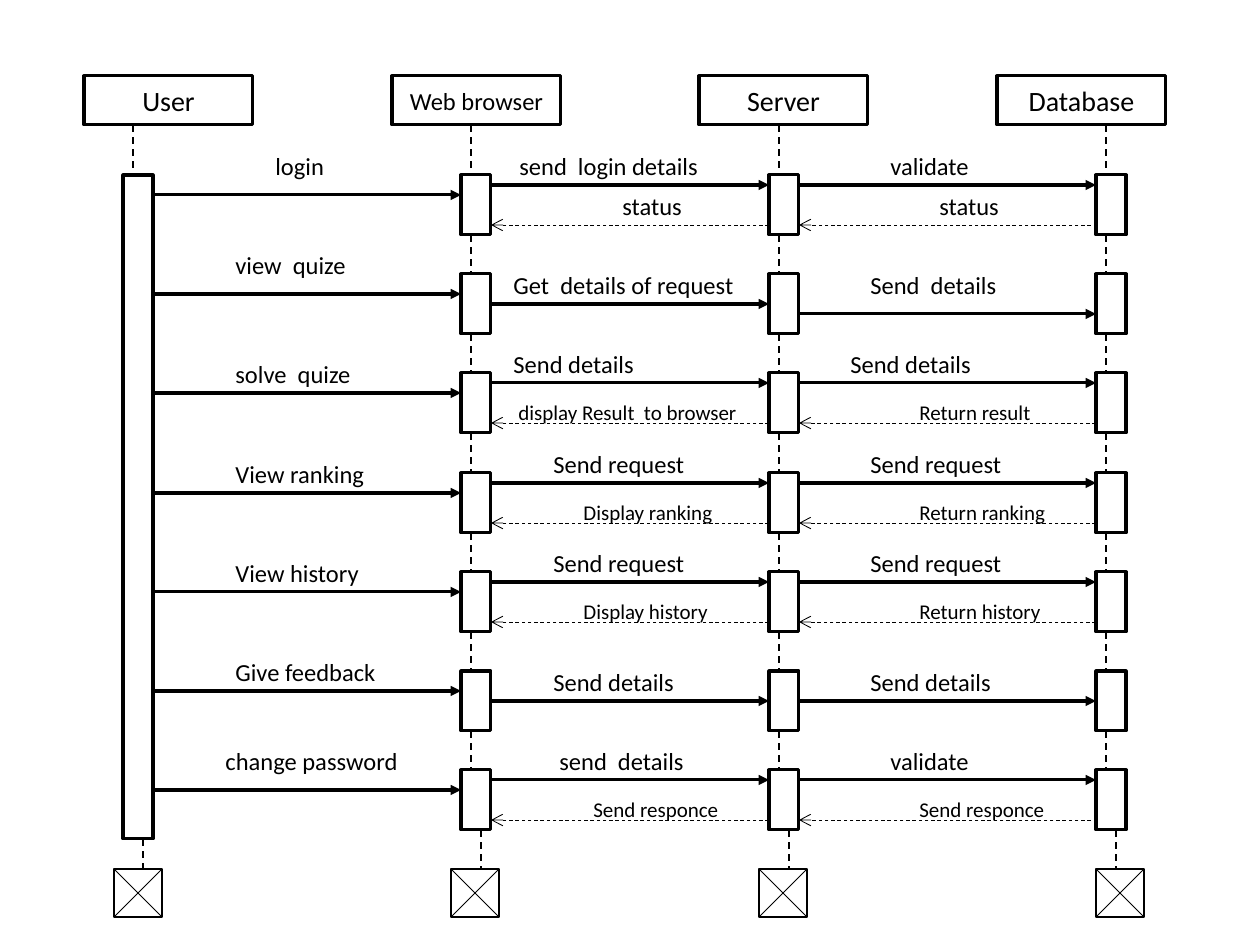
from lxml.etree import SubElement
from pptx import Presentation
from pptx.dml.color import RGBColor
from pptx.enum.dml import MSO_LINE as Dash
from pptx.enum.shapes import MSO_CONNECTOR as Connector, MSO_SHAPE as Shape
from pptx.enum.text import MSO_ANCHOR as Anchor, MSO_AUTO_SIZE as AutoSize, PP_ALIGN as Align
from pptx.oxml.ns import qn
from pptx.util import Pt

BLACK = RGBColor(0, 0, 0)
WHITE = RGBColor(255, 255, 255)
FONT = "Calibri"
PX = 914400 / 126

# name, font size, head left, activation left, end marker left
PARTICIPANTS = [
    ("User", 16, 84, 123, 114),
    ("Web browser", 14, 392, 461, 451),
    ("Server", 16, 699, 769, 759),
    ("Database", 16, 997, 1096, 1096),
]
USER, BROWSER, SERVER, DATABASE = range(4)

# text, label left, label width, arrow drop below step top, label rise above arrow
STEPS = [
    {"calls": [("login", 263, 100, 20, 50),
               ("send  login details", 507, 243, 10, 40),
               ("validate", 878, 129, 10, 40)],
     "returns": [("status", 610, 129), ("status", 927, 129)],
     "return_size": 14, "return_rise": 40, "return_gap": 5},
    {"calls": [("view  quize", 223, 159, 20, 50),
               ("Get  details of request", 501, 258, 30, 40),
               ("Send  details", 858, 159, 40, 50)]},
    {"calls": [("solve  quize", 223, 159, 20, 40),
               ("Send details", 501, 159, 10, 40),
               ("Send details", 838, 159, 10, 40)],
     "returns": [("display Result  to browser", 506, 253), ("Return result", 907, 159)]},
    {"calls": [("View ranking", 223, 159, 20, 40),
               ("Send request", 541, 159, 10, 40),
               ("Send request", 858, 159, 10, 40)],
     "returns": [("Display ranking", 571, 189), ("Return ranking", 907, 159)]},
    {"calls": [("View history", 223, 159, 20, 40),
               ("Send request", 541, 159, 10, 40),
               ("Send request", 858, 159, 10, 40)],
     "returns": [("Display history", 571, 189), ("Return history", 907, 159)]},
    {"calls": [("Give feedback", 223, 189, 20, 40),
               ("Send details", 541, 159, 30, 40),
               ("Send details", 858, 159, 30, 40)]},
    {"calls": [("change password", 213, 218, 20, 50),
               ("send  details", 547, 192, 10, 40),
               ("validate", 878, 129, 10, 40)],
     "returns": [("Send responce", 581, 179), ("Send responce", 907, 179)],
     "return_gap": 5},
]

HEAD_TOP, HEAD_WIDTH, HEAD_HEIGHT = 76, 169, 49
FIRST_STEP, STEP_PITCH = 175, 99.2
BAR_WIDTH, BAR_HEIGHT, USER_BAR_HEIGHT = 30, 60, 664
RETURN_DROP = 50
MARKER_TOP, MARKER_SIZE = 869, 48


def emu(px):
    return round(px * PX)


def add_box(left, top, width, height, weight=1.75, fill=None):
    box = slide.shapes.add_shape(Shape.RECTANGLE, *map(emu, (left, top, width, height)))
    box.shadow.inherit = False
    if fill is None:
        box.fill.background()
    else:
        box.fill.solid()
        box.fill.fore_color.rgb = fill
    box.line.color.rgb = BLACK
    box.line.width = Pt(weight)
    return box


def add_line(x1, y1, x2, y2, weight, dashed=False, arrowhead=None):
    line = slide.shapes.add_connector(Connector.STRAIGHT, *map(emu, (x1, y1, x2, y2)))
    line.line.color.rgb = BLACK
    line.line.width = Pt(weight)
    if dashed:
        line.line.dash_style = Dash.DASH
    if arrowhead:
        SubElement(line.line._get_or_add_ln(), qn("a:tailEnd"), type=arrowhead)
    SubElement(line._element.spPr, qn("a:effectLst"))


def write(frame, text, size):
    frame.word_wrap = True
    paragraph = frame.paragraphs[0]
    paragraph.text = text
    paragraph.font.name = FONT
    paragraph.font.size = Pt(size)
    paragraph.font.color.rgb = BLACK
    return paragraph


def add_label(text, left, top, width, size):
    height = 43 if size == 14 else 38
    label = slide.shapes.add_textbox(*map(emu, (left, top, width, height)))
    write(label.text_frame, text, size)
    label.text_frame.auto_size = AutoSize.SHAPE_TO_FIT_TEXT


prs = Presentation()
prs.slide_width, prs.slide_height = emu(1260), emu(945)
slide = prs.slides.add_slide(prs.slide_layouts[6])

step_tops = [round(FIRST_STEP + STEP_PITCH * i) for i in range(len(STEPS))]
bar_lefts = [participant[3] for participant in PARTICIPANTS]

for lane, (name, size, head_left, bar_left, marker_left) in enumerate(PARTICIPANTS):
    head = add_box(head_left, HEAD_TOP, HEAD_WIDTH, HEAD_HEIGHT)
    head.text_frame.vertical_anchor = Anchor.MIDDLE
    write(head.text_frame, name, size).alignment = Align.CENTER

    tops = [FIRST_STEP] if lane == USER else step_tops
    bar_height = USER_BAR_HEIGHT if lane == USER else BAR_HEIGHT
    lifeline_top = HEAD_TOP + HEAD_HEIGHT
    for top in tops:
        add_line(bar_left + 10, lifeline_top, bar_left + 10, top, 1, dashed=True)
        add_box(bar_left, top, BAR_WIDTH, bar_height)
        lifeline_top = top + bar_height
    add_line(bar_left + 20, lifeline_top, bar_left + 20, MARKER_TOP, 1, dashed=True)

    marker_right, marker_bottom = marker_left + MARKER_SIZE, MARKER_TOP + MARKER_SIZE
    add_box(marker_left, MARKER_TOP, MARKER_SIZE, MARKER_SIZE, 1, WHITE)
    add_line(marker_left, MARKER_TOP, marker_right, marker_bottom, 0.5)
    add_line(marker_right, MARKER_TOP, marker_left, marker_bottom, 0.5)

for step, top in zip(STEPS, step_tops):
    for caller, (text, left, width, drop, rise) in enumerate(step["calls"]):
        y = top + drop
        add_line(bar_lefts[caller] + BAR_WIDTH, y, bar_lefts[caller + 1], y, 1.75,
                 arrowhead="triangle")
        add_label(text, left, y - rise, width, 14)
    y = top + RETURN_DROP
    for receiver, (text, left, width) in enumerate(step.get("returns", []), BROWSER):
        sender = receiver + 1
        gap = step.get("return_gap", 0) if sender == DATABASE else 0
        add_line(bar_lefts[sender] - gap, y, bar_lefts[receiver] + BAR_WIDTH, y, 0.5,
                 dashed=True, arrowhead="arrow")
        add_label(text, left, y - step.get("return_rise", 30), width,
                  step.get("return_size", 12))

prs.save("out.pptx")
